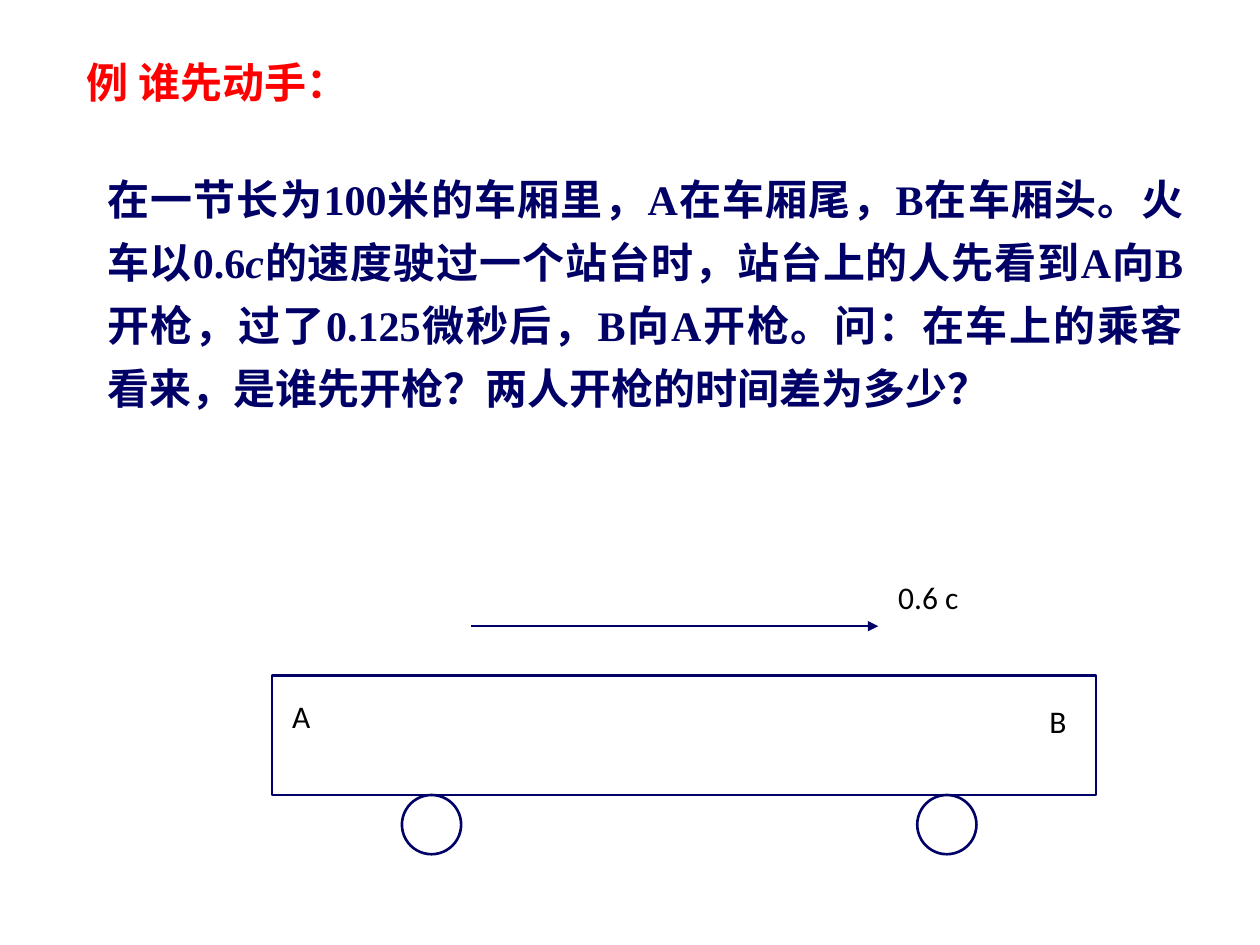
from lxml import etree
from pptx import Presentation
from pptx.dml.color import RGBColor
from pptx.enum.shapes import MSO_CONNECTOR, MSO_SHAPE
from pptx.enum.text import MSO_ANCHOR, MSO_AUTO_SIZE, PP_ALIGN
from pptx.oxml.ns import qn
from pptx.util import Inches, Pt

RECTANGLE, OVAL = MSO_SHAPE.RECTANGLE, MSO_SHAPE.OVAL
STRAIGHT = MSO_CONNECTOR.STRAIGHT
TOP, MIDDLE = MSO_ANCHOR.TOP, MSO_ANCHOR.MIDDLE
LEFT, JUSTIFY = PP_ALIGN.LEFT, PP_ALIGN.JUSTIFY
NO_AUTOFIT = MSO_AUTO_SIZE.NONE

RED = RGBColor(0xFF, 0x00, 0x00)
NAVY = RGBColor(0x00, 0x00, 0x66)
BLACK = RGBColor(0x00, 0x00, 0x00)
CHINESE_FONT = "Noto Sans CJK SC"


def write_text(frame, *parts, font, size, color, bold=False, align=LEFT,
               anchor=TOP, wrap=True, spacing=None):
    """Fill one paragraph; each part is a string or a (string, italic) pair."""
    frame.auto_size = NO_AUTOFIT
    frame.word_wrap = wrap
    frame.vertical_anchor = anchor
    paragraph = frame.paragraphs[0]
    properties = paragraph._p.get_or_add_pPr()
    properties.set("marL", "0")
    properties.set("indent", "0")
    etree.SubElement(properties, qn("a:buNone"))
    paragraph.alignment = align
    paragraph.space_before = Pt(0)
    paragraph.line_spacing = spacing
    for part in parts:
        text, italic = part if isinstance(part, tuple) else (part, False)
        run = paragraph.add_run()
        run.text = text
        run.font.name = font
        run.font.size = Pt(size)
        run.font.bold = bold
        run.font.italic = italic
        run.font.color.rgb = color
        east_asian = etree.Element(qn("a:ea"), typeface=CHINESE_FONT)
        run.font._element.find(qn("a:latin")).addnext(east_asian)


class SlideBuilder:
    def __init__(self, slide, line_color=NAVY, line_width=1.5):
        self.slide = slide
        self.line_color = line_color
        self.line_width = Pt(line_width)
        self.drawing = None

    def placeholder(self, index, left, top, width, height, *parts, **style):
        holder = self.slide.placeholders[index]
        holder.left, holder.top = Inches(left), Inches(top)
        holder.width, holder.height = Inches(width), Inches(height)
        write_text(holder.text_frame, *parts, **style)

    def start_drawing(self):
        self.drawing = self.slide.shapes.add_group_shape().shapes

    def outline(self, kind, left, top, width, height):
        shape = self.drawing.add_shape(kind, Inches(left), Inches(top),
                                       Inches(width), Inches(height))
        shape.shadow.inherit = False
        shape.fill.background()
        shape.line.color.rgb = self.line_color
        shape.line.width = self.line_width

    def label(self, text, left, top, width, height=0.57):
        box = self.drawing.add_textbox(Inches(left), Inches(top),
                                       Inches(width), Inches(height))
        write_text(box.text_frame, text, font="Calibri", size=18,
                   color=BLACK, wrap=False)

    def arrow(self, start, end, y):
        connector = self.drawing.add_connector(
            STRAIGHT, Inches(start), Inches(y), Inches(end), Inches(y))
        connector.line.color.rgb = self.line_color
        connector.line.width = self.line_width
        etree.SubElement(connector.line._get_or_add_ln(), qn("a:tailEnd"),
                         type="triangle")
        etree.SubElement(connector._element.spPr, qn("a:effectLst"))


def main():
    presentation = Presentation()
    presentation.slide_width = Inches(10)
    presentation.slide_height = Inches(7.5)
    layout = presentation.slide_layouts[1]
    builder = SlideBuilder(presentation.slides.add_slide(layout))

    # Heading and problem statement
    builder.placeholder(0, 0.59, 0.4, 2.57, 0.5, "例 谁先动手：",
                        font=CHINESE_FONT, size=24, color=RED, bold=True,
                        anchor=MIDDLE, wrap=False)
    builder.placeholder(
        1, 0.75, 1.23, 8.74, 2.08,
        "在一节长为100米的车厢里，A在车厢尾，B在车厢头。火车以0.6",
        ("c", True),
        "的速度驶过一个站台时，站台上的人先看到A向B开枪，过了0.125微秒后，"
        "B向A开枪。问：在车上的乘客看来，是谁先开枪？两人开枪的时间差为多少？",
        font="Times New Roman", size=24, color=NAVY, bold=True,
        align=JUSTIFY, spacing=Pt(36))

    # Carriage on two wheels
    builder.start_drawing()
    carriage_top, carriage_height, wheel_size = 5.36, 0.95, 0.47
    builder.outline(RECTANGLE, 2.16, carriage_top, 6.54, carriage_height)
    for wheel_left in (3.19, 7.28):
        builder.outline(OVAL, wheel_left, carriage_top + carriage_height,
                        wheel_size, wheel_size)

    # Passengers
    builder.label("A", 2.22, 5.48, 0.46)
    builder.label("B", 8.23, 5.52, 0.46)

    # Velocity
    builder.arrow(3.74, 6.97, 4.97)
    builder.label("0.6 c", 7.03, 4.54, 1.04)

    presentation.save("out.pptx")


if __name__ == "__main__":
    main()
